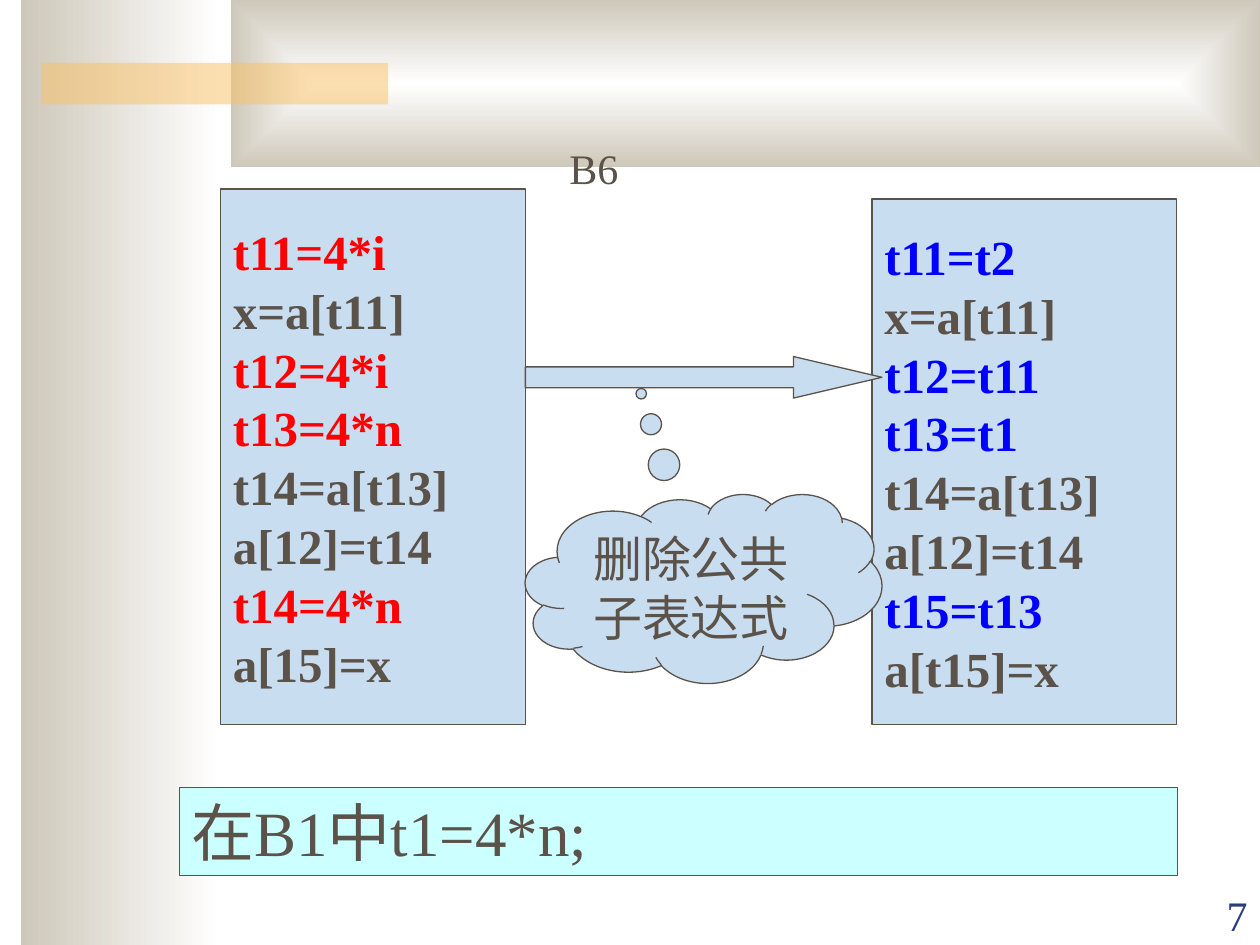
from lxml import etree
from pptx import Presentation
from pptx.dml.color import RGBColor
from pptx.enum.shapes import MSO_SHAPE
from pptx.enum.text import MSO_ANCHOR, PP_ALIGN
from pptx.oxml.ns import qn
from pptx.util import Inches, Pt

RECT = MSO_SHAPE.RECTANGLE
CLOUD = MSO_SHAPE.CLOUD_CALLOUT
ARROW = MSO_SHAPE.RIGHT_ARROW
LEFT, CENTER, RIGHT = PP_ALIGN.LEFT, PP_ALIGN.CENTER, PP_ALIGN.RIGHT
TOP, MIDDLE, BOTTOM = MSO_ANCHOR.TOP, MSO_ANCHOR.MIDDLE, MSO_ANCHOR.BOTTOM
FONT = "Times New Roman"
BLANK_LAYOUT = 6

COLORS = {
    "white": "FFFFFF", "sand": "CEC8BA", "amber": "FAC164",
    "panel": "C9DDF1", "note": "CCFFFF", "ink": "5B5249",
    "old": "FF0000", "new": "0000FF", "number": "2A3D7A",
}

# Each line of code with whether the optimisation touches it
BEFORE = [("t11=4*i", True), ("x=a[t11]", False), ("t12=4*i", True),
          ("t13=4*n", True), ("t14=a[t13]", False), ("a[12]=t14", False),
          ("t14=4*n", True), ("a[15]=x", False)]
AFTER = [("t11=t2", True), ("x=a[t11]", False), ("t12=t11", True),
         ("t13=t1", True), ("t14=a[t13]", False), ("a[12]=t14", False),
         ("t15=t13", True), ("a[t15]=x", False)]


def color(name):
    return RGBColor.from_string(COLORS[name])


def inches(box):
    return [Inches(length) for length in box]


def add_shape(page, kind, box, fill=None, line=None, width=0.75):
    shape = page.shapes.add_shape(kind, *inches(box))
    shape.shadow.inherit = False
    if fill:
        shape.fill.solid()
        shape.fill.fore_color.rgb = color(fill)
    if line:
        shape.line.color.rgb = color(line)
        shape.line.width = Pt(width)
    else:
        shape.line.fill.background()
    return shape


def write_text(shape, lines, size, align=LEFT, anchor=TOP, bold=False):
    """Write (text, color name) pairs, one paragraph each."""
    frame = shape.text_frame
    frame.word_wrap = True
    frame.vertical_anchor = anchor
    for index, (text, ink) in enumerate(lines):
        para = frame.add_paragraph() if index else frame.paragraphs[0]
        para.alignment = align
        span = para.add_run()
        span.text = text
        span.font.name = FONT
        span.font.size = Pt(size)
        span.font.bold = bold
        span.font.color.rgb = color(ink)


def add_label(page, box, text, size, ink="ink", **layout):
    label = page.shapes.add_textbox(*inches(box))
    write_text(label, [(text, ink)], size, **layout)


def add_gradient(page, box, from_center=False):
    """Fade white to sand, leftwards or outwards from the center."""
    shape = add_shape(page, RECT, box)
    shape.fill.gradient()
    shape.fill.gradient_angle = 180
    for stop, name in zip(shape.fill.gradient_stops, ("white", "sand")):
        stop.color.rgb = color(name)
    if from_center:
        gradient = shape.fill._xPr.find(qn("a:gradFill"))
        linear = gradient.find(qn("a:lin"))
        radial = etree.Element(qn("a:path"), {"path": "rect"})
        etree.SubElement(radial, qn("a:fillToRect"),
                         {side: "50000" for side in "ltrb"})
        gradient.replace(linear, radial)


def add_background(page):
    add_gradient(page, (0.17, 0, 1.58, 7.5))
    add_gradient(page, (1.83, 0, 8.17, 1.33), from_center=True)
    bar = add_shape(page, RECT, (0.33, 0.5, 2.75, 0.33), "amber")
    tint = bar.fill._xPr.find(qn("a:solidFill"))[0]
    etree.SubElement(tint, qn("a:alpha"), {"val": "50000"})


def add_code(page, box, code, highlight):
    panel = add_shape(page, RECT, box, "panel", "ink")
    lines = [(text, highlight if changed else "ink") for text, changed in code]
    write_text(panel, lines, 28, anchor=MIDDLE, bold=True)


def add_step(page, left, width):
    """Arrow between the code panels and the cloud that explains it."""
    cloud = add_shape(page, CLOUD, (left, 3.92, width, 1.5), "panel", "ink")
    cloud.adjustments[0] = -0.175
    cloud.adjustments[1] = -1.03
    write_text(cloud, [("删除公共子表达式", "ink")], 28, align=CENTER)
    arrow = add_shape(page, ARROW, (left, 2.83, width, 0.33), "panel", "ink")
    arrow.adjustments[0] = 0.5
    arrow.adjustments[1] = 2.13


def add_note(page, box):
    note = add_shape(page, RECT, box, "note", "ink", width=0.25)
    write_text(note, [("在B1中t1=4*n;", "ink")], 36)


def main():
    deck = Presentation()
    deck.slide_width, deck.slide_height = Inches(10), Inches(7.5)
    page = deck.slides.add_slide(deck.slide_layouts[BLANK_LAYOUT])

    add_background(page)

    # Block B6 before and after the optimisation
    add_code(page, (6.92, 1.58, 2.42, 4.17), AFTER, "new")
    add_code(page, (1.75, 1.5, 2.42, 4.25), BEFORE, "old")
    add_step(page, 4.17, 2.83)
    add_label(page, (4.42, 1.08, 1, 0.5), "B6", 24)

    # Note and page number
    add_note(page, (1.42, 6.25, 7.92, 0.7))
    add_label(page, (9, 7.01, 1, 0.5), "7", 24, "number",
              align=RIGHT, anchor=BOTTOM)
    deck.save("out.pptx")


if __name__ == "__main__":
    main()
